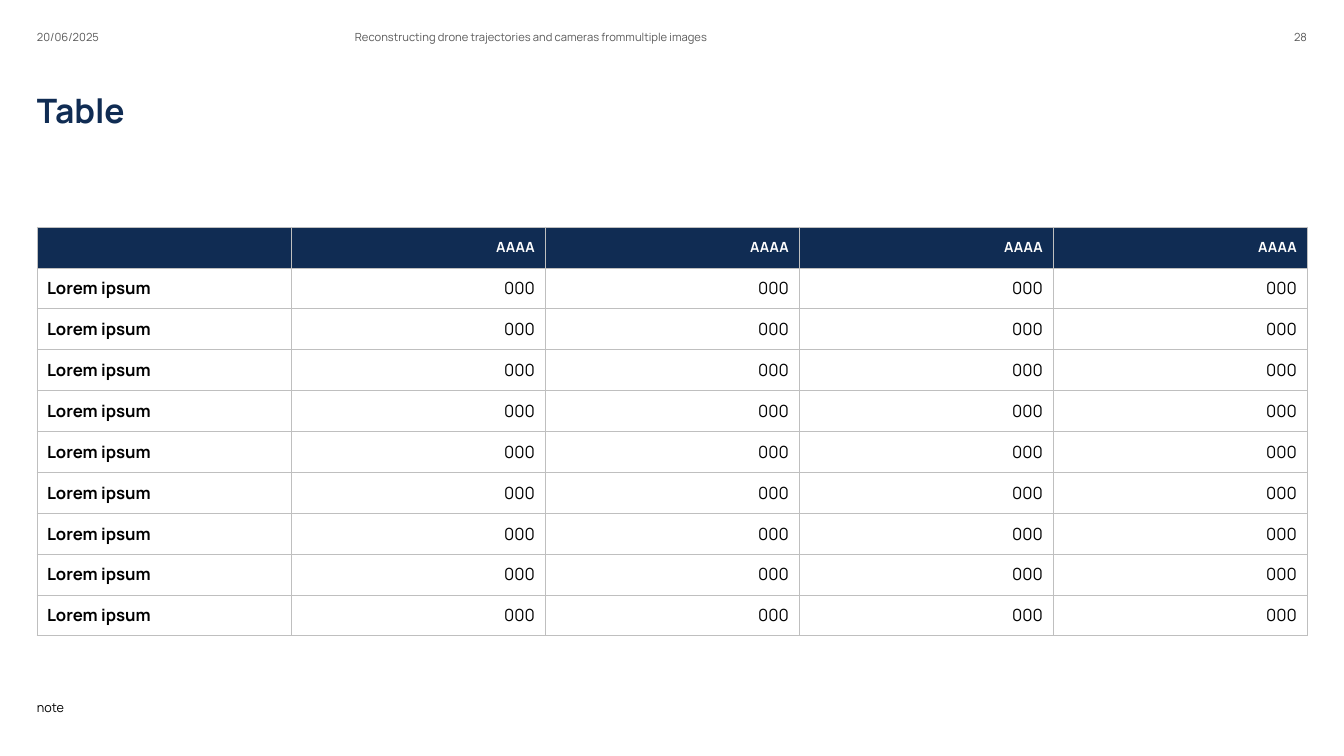
from lxml import etree
from pptx import Presentation
from pptx.dml.color import RGBColor
from pptx.enum.text import MSO_ANCHOR, PP_ALIGN
from pptx.oxml.ns import qn
from pptx.util import Emu, Pt

LEFT, RIGHT = PP_ALIGN.LEFT, PP_ALIGN.RIGHT
TOP, MIDDLE, BOTTOM = MSO_ANCHOR.TOP, MSO_ANCHOR.MIDDLE, MSO_ANCHOR.BOTTOM

TITLE = "Table"
HEADER = [""] + ["AAAA"] * 4
ROWS = [HEADER] + [["Lorem ipsum"] + ["000"] * 4] * 9

COLORS = {"navy": "102C53", "white": "FFFFFF", "black": "000000",
          "gray": "595959", "border": "BFBFBF"}
FONT = "Manrope"
EMU_PER_PX = 914400 / 100.8
WIDTH, HEIGHT = 1344, 756
MARGIN = 37
CONTENT_W = WIDTH - 2 * MARGIN
TITLE_BOX = (MARGIN, 90, CONTENT_W, 93)
TABLE_BOX = (MARGIN, 227, CONTENT_W, 409)

# text, box, alignment, size, color, line spacing
LABELS = [
    ("20/06/2025", (MARGIN, 4, 263, 40), LEFT, 8, "gray", 1.0),
    ("Reconstructing drone trajectories and cameras frommultiple images",
     (355, 4, 454, 40), LEFT, 8, "gray", 1.0),
    ("28", (1192, 4, 115, 40), RIGHT, 8, "gray", 1.0),
    ("note", (MARGIN, 684, CONTENT_W, 31), LEFT, 9, "black", 1.2),
]


def px(n):
    return Emu(round(n * EMU_PER_PX))


def rgb(name):
    return RGBColor.from_string(COLORS[name])


def write(tf, text, size, color, bold=False, align=LEFT):
    tf.text = text
    p = tf.paragraphs[0]
    p.alignment = align
    for r in p.runs:
        r.font.name, r.font.size, r.font.bold = FONT, Pt(size), bold
        r.font.color.rgb = rgb(color)
    return p


def set_frame(tf, anchor):
    """Wrap the text and remove the insets."""
    tf.word_wrap = True
    tf.vertical_anchor = anchor
    tf.margin_left = tf.margin_right = tf.margin_top = tf.margin_bottom = 0


def add_borders(cell):
    tc_pr = cell._tc.get_or_add_tcPr()
    for side in ("a:lnL", "a:lnR", "a:lnT", "a:lnB"):
        ln = etree.SubElement(tc_pr, qn(side), w=str(Pt(0.5)))
        fill = etree.SubElement(ln, qn("a:solidFill"))
        etree.SubElement(fill, qn("a:srgbClr"), val=COLORS["border"])


def add_title(s):
    sp = s.shapes.title
    sp.left, sp.top, sp.width, sp.height = map(px, TITLE_BOX)
    set_frame(sp.text_frame, TOP)
    write(sp.text_frame, TITLE, 24, "navy", bold=True)


def add_data_table(s):
    table = s.shapes.add_table(len(ROWS), len(HEADER), *map(px, TABLE_BOX)).table
    table.first_row = table.horz_banding = False
    for column in table.columns:
        column.width = px(TABLE_BOX[2] / len(HEADER))
    for row in table.rows:
        row.height = px(TABLE_BOX[3] / len(ROWS))
    for i, values in enumerate(ROWS):
        size, color, fill = (12, "black", "white") if i else (10, "white", "navy")
        for j, value in enumerate(values):
            cell = table.cell(i, j)
            add_borders(cell)
            cell.fill.solid()
            cell.fill.fore_color.rgb = rgb(fill)
            cell.margin_top = cell.margin_bottom = 0
            cell.vertical_anchor = MIDDLE
            write(cell.text_frame, value, size, color,
                  bold=i == 0 or j == 0, align=RIGHT if j else LEFT)


def add_label(s, text, box, align, size, color, spacing):
    tf = s.shapes.add_textbox(*map(px, box)).text_frame
    set_frame(tf, BOTTOM)
    write(tf, text, size, color, align=align).line_spacing = spacing


def main():
    prs = Presentation()
    prs.slide_width, prs.slide_height = px(WIDTH), px(HEIGHT)
    s = prs.slides.add_slide(prs.slide_layouts[5])
    add_title(s)
    add_data_table(s)
    for label in LABELS:
        add_label(s, *label)
    prs.save("out.pptx")


if __name__ == "__main__":
    main()
